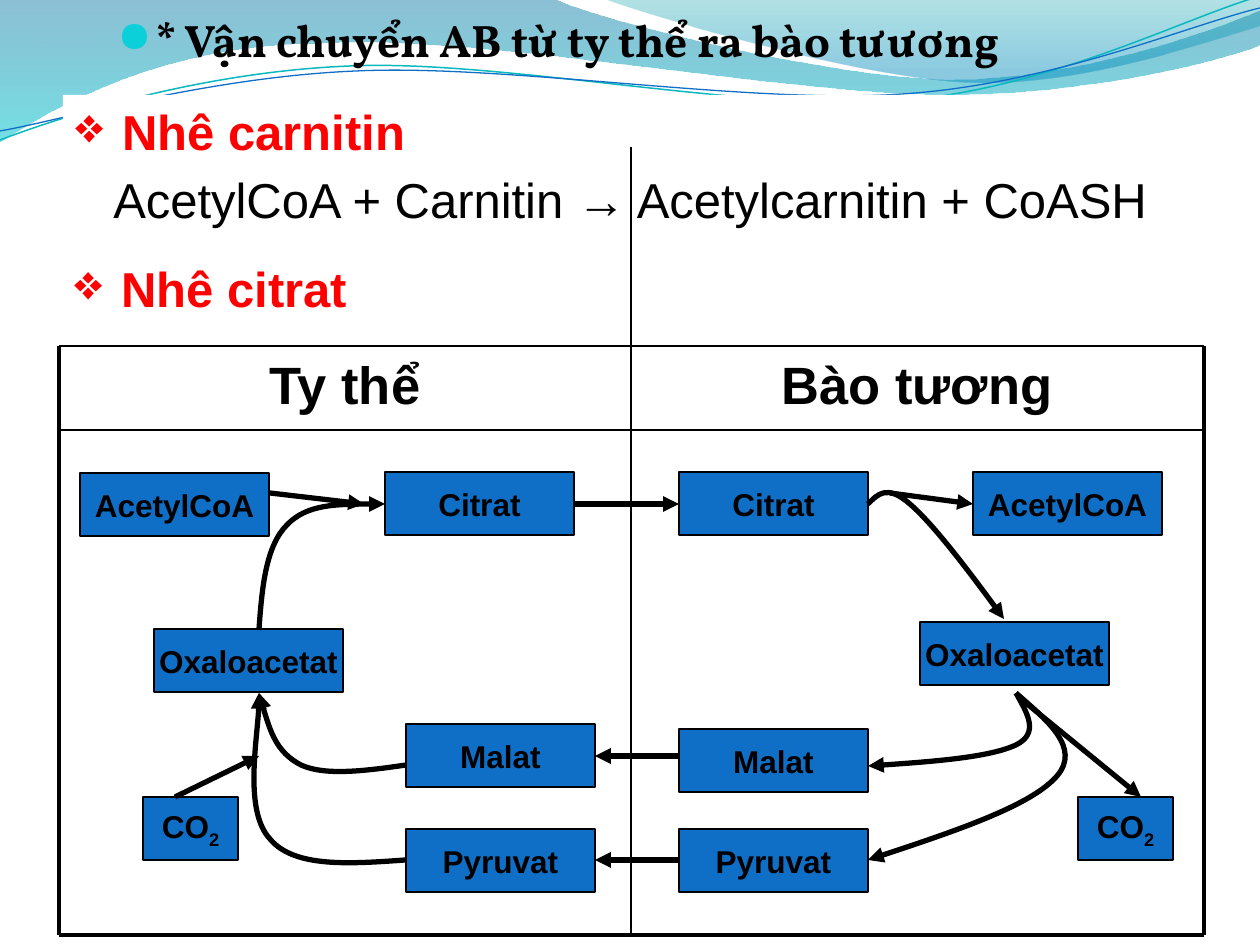
from lxml.etree import SubElement
from pptx import Presentation
from pptx.dml.color import RGBColor
from pptx.enum.shapes import MSO_CONNECTOR, MSO_SHAPE
from pptx.enum.text import MSO_ANCHOR, PP_ALIGN
from pptx.oxml.ns import qn
from pptx.util import Pt

PX = 914400 / 126


class Theme:
    black = RGBColor.from_string("000000")
    white = RGBColor.from_string("FFFFFF")
    red = RGBColor.from_string("FF0000")
    blue = RGBColor.from_string("0F6FC6")
    teal = RGBColor.from_string("0AB8BF")
    bullet = "0BD0D9"
    body_font, title_font, bullet_font = "Arial", "Vollkorn", "OpenSymbol"
    title, heading, column, label = Pt(26), Pt(28), Pt(30), Pt(18)
    hairline, border, thick, arrow = Pt(0.75), Pt(1), Pt(2.25), Pt(3)


deck = Presentation()
deck.slide_width, deck.slide_height = round(1260 * PX), round(945 * PX)
page = deck.slides.add_slide(deck.slide_layouts[6])


def trace(start, segments, close=False):
    """Draw straight (x, y) and cubic (six-number) segments as one outline."""
    points = [pair for segment in segments for pair in zip(segment[::2], segment[1::2])]
    builder = page.shapes.build_freeform(*start, scale=PX)
    builder.add_line_segments(points, close=close)
    shape = builder.convert_to_shape()
    # Join each run of three points into one cubic curve
    sides = iter(list(shape._element.iter(qn("a:lnTo"))))
    for segment in segments:
        side = next(sides)
        if len(segment) == 6:
            curve = side.makeelement(qn("a:cubicBezTo"))
            side.addprevious(curve)
            for part in (side, next(sides), next(sides)):
                curve.append(part[0])
                part.getparent().remove(part)
    shape.shadow.inherit = False
    shape.fill.background()
    return shape


def stroke(ends, width, arrow=False, curve=None, color=Theme.black):
    """Draw a straight line between ends, or a curve from the first point."""
    if curve:
        shape = trace(ends, curve)
    else:
        shape = page.shapes.add_connector(MSO_CONNECTOR.STRAIGHT, *[round(n * PX) for n in ends])
    shape.line.color.rgb = color
    shape.line.width = width
    if arrow:
        SubElement(shape._element.spPr.find(qn("a:ln")), qn("a:tailEnd"), type="triangle")
    if not curve:
        SubElement(shape._element.spPr, qn("a:effectLst"))


# Wave header
waves = [
    ((0, -1), [(554, -1), (600, 21, 837, 79, 955, 79), (1075, 79, 1207, 33, 1260, 11),
               (1261, 45), (1239, 55, 1096, 96, 940, 94), (784, 94, 481, 35, 324, 43),
               (163, 44, 58, 105, -1, 142)],
     [(0, "0074A1", 45), (1, "00C6CF", 55)]),
    ((604, -1), [(641, 14, 859, 78, 969, 82), (1079, 87, 1211, 40, 1260, 26), (1260, 0)],
     [(0, "00A1A9", 30), (0.8, "008BBF", 45)]),
]
for start, segments, stops in waves:
    wave = trace(start, segments, close=True)
    wave.line.fill.background()
    wave.fill.gradient()
    wave.fill.gradient_angle = 270
    for stop, (position, color, opacity) in zip(wave.fill.gradient_stops, stops):
        stop.position = position
        stop.color.rgb = RGBColor.from_string(color)
    for node, (_, _, opacity) in zip(wave._element.spPr.iter(qn("a:srgbClr")), stops):
        SubElement(node, qn("a:alpha"), val=str(opacity * 1000))

stroke((0, 140), Pt(0.85), color=Theme.teal, curve=[
    (60, 117, 199, 72, 349, 66), (498, 59, 747, 112, 898, 101), (1049, 89, 1182, 19, 1257, -3)])
stroke((0, 131), Theme.hairline, color=Theme.blue, curve=[
    (59, 121, 207, 77, 357, 71), (508, 64, 752, 105, 903, 94), (1053, 84, 1186, 26, 1260, 8)])

# Title and headings: text, font, size, bold, colour, bullet, indent
title = ("* Vận chuyển AB từ ty thể ra bào tưương", Theme.title_font, Theme.title, True,
         Theme.black, "●", 38)
carnitin, equation, citrat = [
    (text, Theme.body_font, Theme.heading, bold, color, bullet, 47)
    for text, bold, color, bullet in (
        ("Nhê carnitin", True, Theme.red, "❖"),
        ("AcetylCoA + Carnitin → Acetylcarnitin + CoASH", False, Theme.black, None),
        ("Nhê citrat", True, Theme.red, "❖"))]
for area, lines in [((105, 6, 1071, 73), [title]),
                    ((63, 95, 1134, 147), [carnitin, equation]),
                    ((62, 252, 1143, 94), [citrat])]:
    panel = page.shapes.add_textbox(*[round(n * PX) for n in area])
    panel.text_frame.word_wrap = True
    if lines != [title]:
        panel.fill.solid()
        panel.fill.fore_color.rgb = Theme.white
    for index, (text, font, size, bold, color, bullet, indent) in enumerate(lines):
        para = panel.text_frame.add_paragraph() if index else panel.text_frame.paragraphs[0]
        para.text = text
        para.space_before = round(size * 0.2)
        para.font.name, para.font.size, para.font.bold = font, size, bold
        para.font.color.rgb = color
        settings = para._p.get_or_add_pPr()
        settings.set("marL", str(round(indent * PX)))
        settings.set("indent", str(round(-indent * PX)))
        marks = []
        if bullet == "●":
            tint = settings.makeelement(qn("a:buClr"))
            SubElement(tint, qn("a:srgbClr"), val=Theme.bullet)
            marks += [tint, settings.makeelement(qn("a:buSzPct"), val="95000")]
        if bullet:
            marks += [settings.makeelement(qn("a:buFont"), typeface=Theme.bullet_font),
                      settings.makeelement(qn("a:buChar"), char=bullet)]
        else:
            para.alignment = PP_ALIGN.CENTER
        for mark in marks:
            settings.find(qn("a:defRPr")).addprevious(mark)

# Two-compartment frame
left, middle, right = 59, 631, 1204
top, header, bottom = 346, 430, 935
for y, end, names in ((header, bottom, ("", "")), (top, header, ("Bào tương", "Ty thể"))):
    for x, name in zip((middle, left), names):
        cell = page.shapes.add_shape(MSO_SHAPE.RECTANGLE, *[
            round(n * PX) for n in (x, y, middle - left, end - y)])
        cell.shadow.inherit = False
        cell.fill.solid()
        cell.fill.fore_color.rgb = Theme.white
        cell.line.fill.background()
        if name:
            cell.text_frame.vertical_anchor = MSO_ANCHOR.TOP
            para = cell.text_frame.paragraphs[0]
            para.text, para.alignment = name, PP_ALIGN.CENTER
            para.font.name, para.font.size, para.font.bold = Theme.body_font, Theme.column, True
            para.font.color.rgb = Theme.black
stroke((middle, top, middle, 147), Theme.hairline)
for y, width in ((top, Theme.border), (header, Theme.border), (bottom, Theme.thick)):
    stroke((left, y, right, y), width)
for x, width in ((left, Theme.thick), (middle, Theme.border), (right, Theme.thick)):
    stroke((x, top, x, bottom), width)

# Metabolites
metabolites = [
    ("Oxaloacetat", 154, 629), ("Citrat", 385, 472), ("AcetylCoA", 80, 473),
    ("Malat", 406, 724), ("Pyruvat", 406, 829), ("CO2", 143, 797),
    ("Citrat", 679, 472), ("Oxaloacetat", 920, 622), ("Malat", 679, 729),
    ("Pyruvat", 679, 829), ("CO2", 1078, 797), ("AcetylCoA", 973, 472),
]
for name, x, y in metabolites:
    width = 95 if name == "CO2" else 189
    box = page.shapes.add_shape(MSO_SHAPE.RECTANGLE, *[round(n * PX) for n in (x, y, width, 63)])
    box.shadow.inherit = False
    box.fill.solid()
    box.fill.fore_color.rgb = Theme.blue
    box.line.color.rgb = Theme.black
    box.line.width = Theme.hairline
    box.text_frame.word_wrap = False
    box.text_frame.vertical_anchor = MSO_ANCHOR.MIDDLE
    para = box.text_frame.paragraphs[0]
    para.alignment = PP_ALIGN.CENTER
    para.font.name, para.font.size, para.font.bold = Theme.body_font, Theme.label, True
    para.font.color.rgb = Theme.black
    para.add_run().text = name.rstrip("2")
    if name.endswith("2"):
        span = para.add_run()
        span.text = "2"
        span.font._element.set("baseline", "-25000")

# Reaction arrows
for ends in [(270, 493, 364, 504), (175, 797, 259, 756), (575, 504, 679, 504),
             (890, 493, 973, 504), (1026, 703, 1141, 797), (679, 756, 595, 756),
             (679, 860, 595, 860)]:
    stroke(ends, Theme.arrow, arrow=True)
for start, curve in [
    ((259, 630), (262, 587, 266, 546, 287, 525, 307, 504, 346, 504, 385, 504)),
    ((406, 765), (365, 771, 325, 776, 301, 765, 276, 752, 267, 722, 259, 693)),
    ((406, 860), (350, 864, 294, 868, 270, 839, 244, 811, 261, 717, 259, 693)),
    ((868, 504), (878, 494, 887, 484, 910, 504, 932, 523, 969, 571, 1004, 619)),
    ((1016, 693), (1027, 713, 1040, 733, 1016, 745, 990, 757, 930, 762, 868, 766)),
    ((1016, 693), (1048, 721, 1081, 748, 1057, 776, 1032, 805, 950, 833, 868, 860)),
]:
    stroke(start, Theme.arrow, arrow=True, curve=[curve[:6], curve[6:]])

deck.save("out.pptx")
